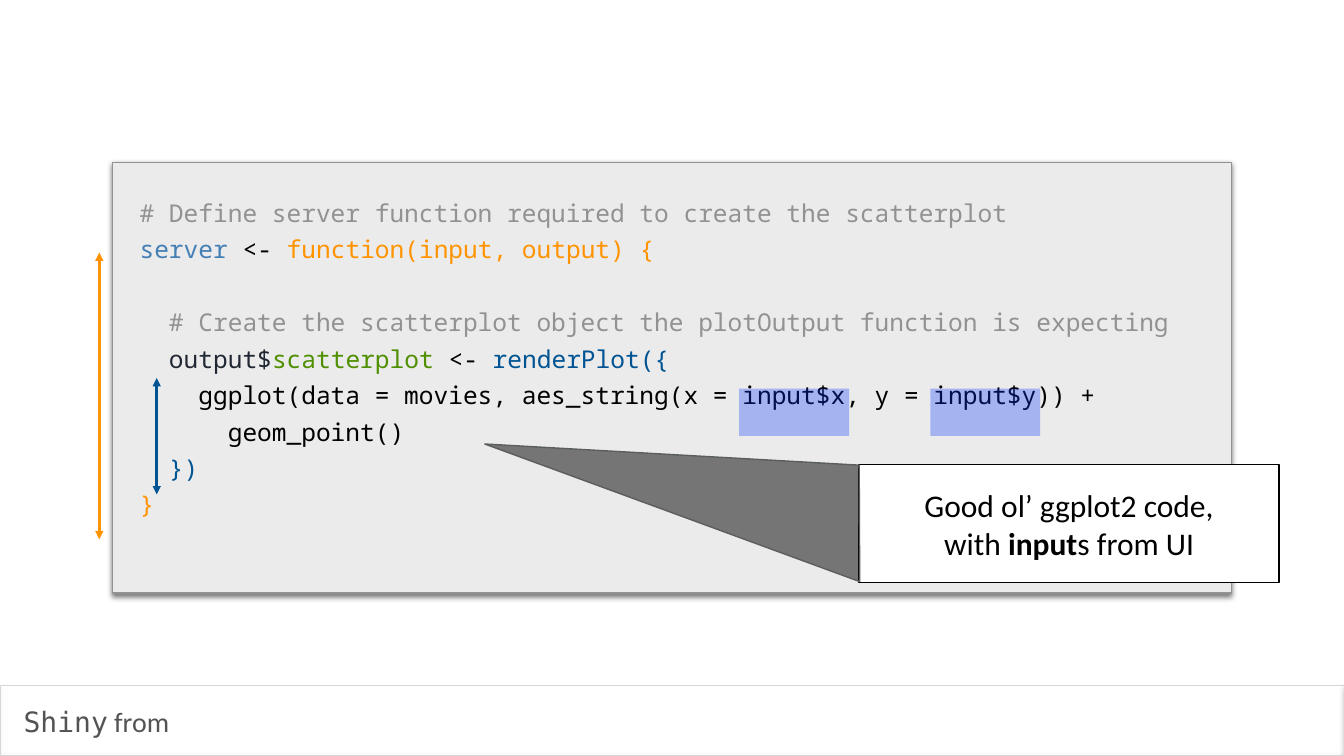
from lxml import etree
from pptx import Presentation
from pptx.dml.color import RGBColor
from pptx.enum.shapes import MSO_CONNECTOR, MSO_SHAPE
from pptx.enum.text import MSO_ANCHOR, PP_ALIGN
from pptx.oxml.ns import qn
from pptx.util import Inches, Pt

RECT = MSO_SHAPE.RECTANGLE
STRAIGHT = MSO_CONNECTOR.STRAIGHT
MIDDLE = MSO_ANCHOR.MIDDLE
LEFT, CENTER = PP_ALIGN.LEFT, PP_ALIGN.CENTER

THEME = {
    "black": "000000", "white": "FFFFFF", "panel": "EBEBEB", "comment": "929292",
    "bar_line": "D6D6D6", "footer": "535353", "pointer_line": "5A5F5E",
    "server": "447FB5", "function": "FF9300", "output": "212833",
    "plot_name": "4F8F00", "render": "005493", "highlight": "0433FF",
    "code_font": "Noto Sans Mono", "mono_font": "DejaVu Sans Mono", "body_font": "Calibri",
    "code_size": 35, "footer_size": 40, "callout_size": 45,
    "code_line": 42, "code_gap": 10,
}

# Each code line is a list of (text, colour) pieces; an empty list is an open line.
CODE = [
    [("# Define server function required to create the scatterplot", "comment")],
    [("server", "server"), (" <- ", "black"), ("function(input, output) {", "function")],
    [],
    [("  # Create the scatterplot object the plotOutput function is expecting", "comment")],
    [("  output$", "output"), ("scatterplot", "plot_name"), (" <- ", "black"),
     ("renderPlot({", "render")],
    [("    ggplot(data = movies, aes_string(x = input$x, y = input$y)) +", "black")],
    [("      geom_point()", "black")],
    [("  })", "render")],
    [("}", "function")],
]
HIGHLIGHTED = ["input$x", "input$y"]
CALLOUT = [
    [("Good ol’ ggplot2 code,", False)],
    [("with ", False), ("input", True), ("s from UI", False)],
]
FOOTER = [("Shiny", "mono_font"), (" from", "body_font")]
SCOPES = [(1.97, 10.7, 5.01, "function"), (3.11, 9.81, 7.5, "render")]  # x, bottom, top, colour

CODE_LEFT, CODE_TOP = 2.69, 3.85
POINTER = [(17.05, 9.23), (9.62, 8.81), (17.06, 11.54)]


def color(name):
    return RGBColor.from_string(THEME[name])


def paint(shape, fill=None, line=None, width=1, opacity=None):
    shape.shadow.inherit = False
    if fill:
        shape.fill.solid()
        shape.fill.fore_color.rgb = color(fill)
        if opacity:
            tint = shape.fill._xPr.find(qn("a:solidFill"))[0]
            etree.SubElement(tint, qn("a:alpha"), val=str(opacity * 1000))
    else:
        shape.fill.background()
    if line:
        shape.line.color.rgb = color(line)
        shape.line.width = Pt(width)
    else:
        shape.line.fill.background()


def add_box(shapes, at, **look):
    box = shapes.add_shape(RECT, *map(Inches, at))
    paint(box, **look)
    return box


def drop_shadow(shape, opacity, blur, distance, angle):
    effects = shape._element.spPr.find(qn("a:effectLst"))
    shadow = etree.SubElement(
        effects, qn("a:outerShdw"), blurRad=str(Pt(blur)), dist=str(Pt(distance)),
        dir=str(angle * 60000), algn="ctr", rotWithShape="0")
    tint = etree.SubElement(shadow, qn("a:srgbClr"), val=THEME["black"])
    etree.SubElement(tint, qn("a:alpha"), val=str(opacity * 1000))


def set_frame(frame, inset, anchor=MSO_ANCHOR.TOP, wrap=True):
    frame.word_wrap = wrap
    frame.vertical_anchor = anchor
    frame.margin_left = frame.margin_right = Inches(inset)
    frame.margin_top = frame.margin_bottom = Inches(inset)


def next_paragraph(frame, index, align=LEFT):
    paragraph = frame.add_paragraph() if index else frame.paragraphs[0]
    paragraph.alignment = align
    return paragraph


def add_piece(paragraph, text, font, size, tint, bold=False):
    run = paragraph.add_run()
    run.text = text
    run.font.name = THEME[font]
    run.font.size = Pt(THEME[size])
    run.font.color.rgb = color(tint)
    run.font.bold = bold


def add_footer(shapes):
    bar = add_box(shapes, (0.01, 13.6, 26.67, 1.39), line="bar_line")
    drop_shadow(bar, 50, 4, 1.6, 90)
    frame = shapes.add_textbox(*map(Inches, (0.41, 13.93, 3.02, 0.78))).text_frame
    set_frame(frame, 0.06, MIDDLE, wrap=False)
    for text, font in FOOTER:
        add_piece(frame.paragraphs[0], text, font, "footer_size", "footer")


def add_code(shapes):
    panel = add_box(shapes, (2.23, 3.22, 22.21, 8.55), fill="panel", line="comment", width=2)
    drop_shadow(panel, 55, 8, 4, 91)
    frame = shapes.add_textbox(*map(Inches, (CODE_LEFT, CODE_TOP, 21.28, 7.31))).text_frame
    set_frame(frame, 0.08)
    pitch = THEME["code_line"] + THEME["code_gap"]
    gap = 0
    for index, line in enumerate(CODE):
        if not line:
            gap += pitch
            continue
        paragraph = next_paragraph(frame, index)
        paragraph.line_spacing = Pt(THEME["code_line"])
        paragraph.space_before = Pt(gap)
        for text, tint in line:
            add_piece(paragraph, text, "code_font", "code_size", tint)
        gap = THEME["code_gap"]


def add_scope_arrow(shapes, x, bottom, top, tint):
    arrow = shapes.add_connector(STRAIGHT, *map(Inches, (x, bottom, x, top)))
    arrow.line.color.rgb = color(tint)
    arrow.line.width = Pt(4)
    for end in ("a:headEnd", "a:tailEnd"):
        etree.SubElement(arrow.line._get_or_add_ln(), qn(end), type="triangle")
    etree.SubElement(arrow._element.spPr, qn("a:effectLst"))


def add_callout(shapes):
    group = shapes.add_group_shape().shapes
    box = add_box(group, (17.05, 9.22, 8.33, 2.34), fill="white", line="black", width=2)
    set_frame(box.text_frame, 0.06, MIDDLE)
    for index, line in enumerate(CALLOUT):
        paragraph = next_paragraph(box.text_frame, index, CENTER)
        for text, bold in line:
            add_piece(paragraph, text, "body_font", "callout_size", "black", bold)
    start, *others = [(Inches(x), Inches(y)) for x, y in POINTER]
    outline = group.build_freeform(*start)
    outline.add_line_segments(others, close=True)
    paint(outline.convert_to_shape(), fill="black", line="pointer_line", width=2, opacity=50)


def add_highlights(shapes):
    """Mark each input by its column in the monospaced ggplot line."""
    line = CODE[5][0][0]
    char_width = 0.6 * THEME["code_size"] / 72
    for name in HIGHLIGHTED:
        left = CODE_LEFT + 0.02 + line.index(name) * char_width
        add_box(shapes, (left, 7.71, 2.18, 0.94), fill="highlight", opacity=30)


def main():
    deck = Presentation()
    deck.slide_width, deck.slide_height = Inches(26.67), Inches(15)
    shapes = deck.slides.add_slide(deck.slide_layouts[6]).shapes
    add_footer(shapes)
    add_code(shapes)
    for scope in SCOPES:
        add_scope_arrow(shapes, *scope)
    add_callout(shapes)
    add_highlights(shapes)
    deck.save("out.pptx")


if __name__ == "__main__":
    main()
